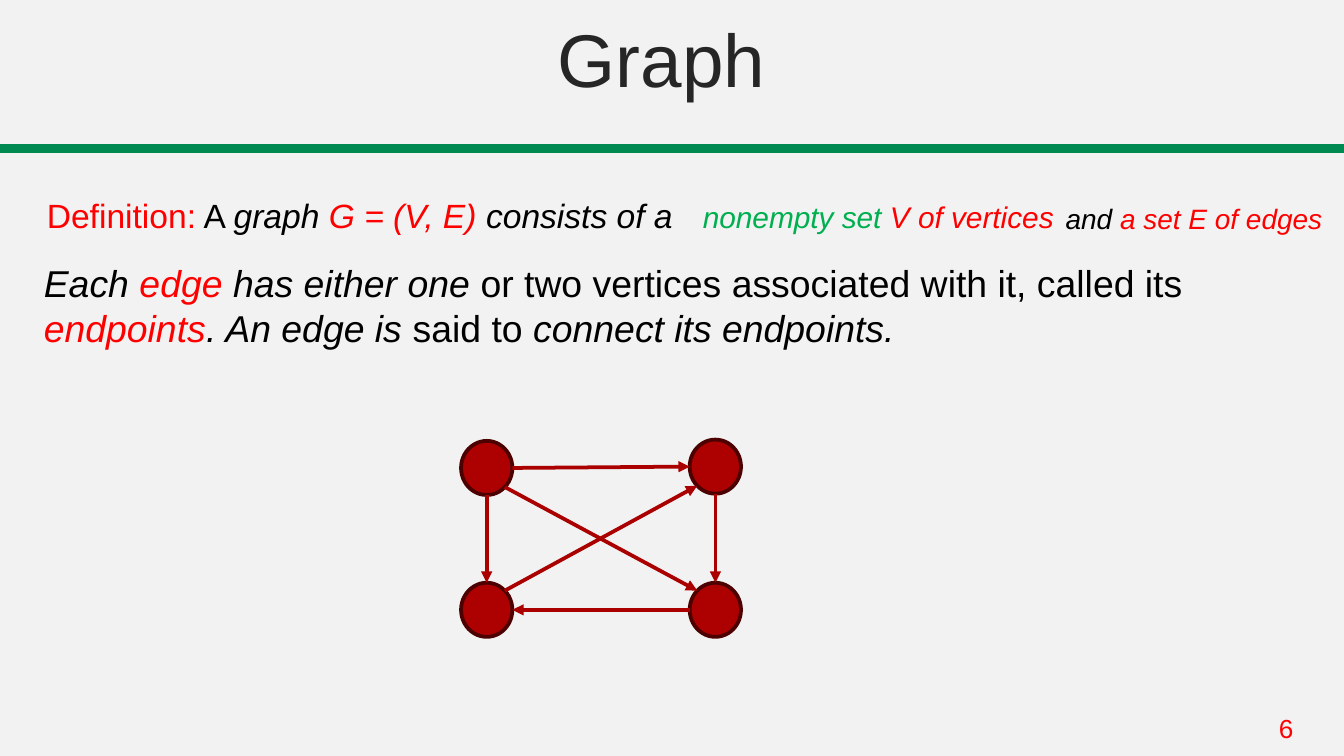
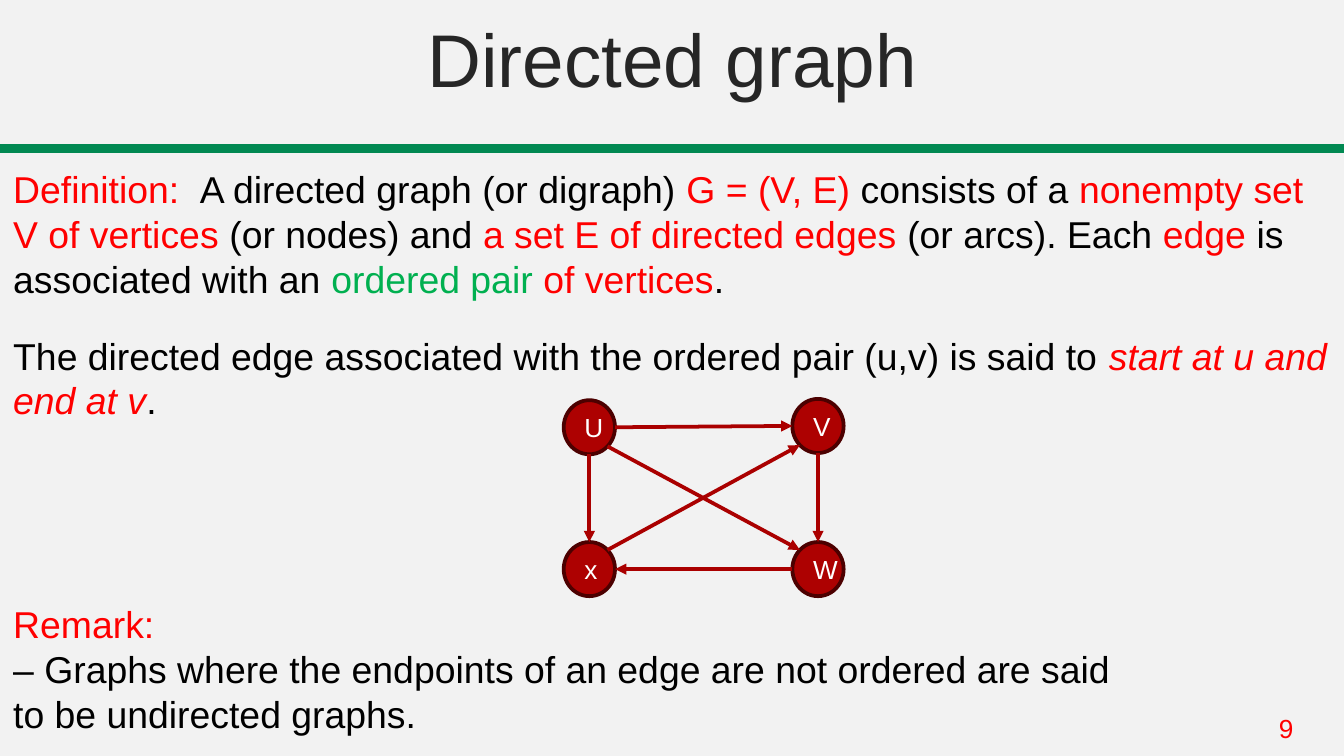
from collections.abc import Sequence
from dataclasses import dataclass
from math import sqrt

from lxml.etree import SubElement
from pptx import Presentation
from pptx.dml.color import RGBColor
from pptx.enum.shapes import MSO_CONNECTOR, MSO_SHAPE
from pptx.enum.text import MSO_ANCHOR, MSO_AUTO_SIZE, PP_ALIGN
from pptx.oxml.ns import qn
from pptx.util import Pt

# Shared look
FONT = "Arial"
LEADING = 1.2
BACKGROUND, BAND, TITLE = "F2F2F2", "018952", "262626"
RED, GREEN, BLACK, WHITE = "FF0000", "00B050", "000000", "FFFFFF"
NODE_FILL, NODE_LINE, EDGE = "AD0101", "4C0000", "AA0000"
SLIDE_W, SLIDE_H = 720, 405

# Graph geometry
NODE_W, NODE_H = 27.5, 29
COLUMN_STEP, ROW_STEP, RIGHT_RISE = 122.5, 76, 0.7


@dataclass(frozen=True)
class Span:
    text: str
    color: str = BLACK
    italic: bool = False


@dataclass(frozen=True)
class Para:
    spans: tuple[Span, ...]
    before: float = 0
    tab: float = 0


@dataclass(frozen=True)
class Passage:
    left: float
    top: float
    width: float
    height: float
    size: float
    paras: tuple[Para, ...]


@dataclass(frozen=True)
class Edge:
    start: str
    start_side: tuple[float, float]
    end: str
    end_side: tuple[float, float]


@dataclass(frozen=True)
class Page:
    title: str
    number: str
    passages: tuple[Passage, ...]
    graph_left: float
    graph_top: float
    labels: dict[str, str]


# Points on a node's rim, as fractions of its radii
D = sqrt(0.5)
TOP, BOTTOM, LEFT, RIGHT = (0, -1), (0, 1), (-1, 0), (1, 0)
UPPER_LEFT, UPPER_RIGHT = (-D, -D), (D, -D)
LOWER_LEFT, LOWER_RIGHT = (-D, D), (D, D)

EDGES = (
    Edge("U", RIGHT, "V", LEFT),
    Edge("V", BOTTOM, "W", TOP),
    Edge("W", LEFT, "X", RIGHT),
    Edge("U", BOTTOM, "X", TOP),
    Edge("U", LOWER_RIGHT, "W", UPPER_LEFT),
    Edge("X", UPPER_RIGHT, "V", LOWER_LEFT),
)


def rgb(value: str) -> RGBColor:
    return RGBColor.from_string(value)


def style_run(run, size: float, color: str, italic: bool = False) -> None:
    run.font.name = FONT
    run.font.size = Pt(size)
    run.font.italic = italic
    run.font.color.rgb = rgb(color)


def style_shape(shape, fill: str, line: str, weight: float) -> None:
    shape.shadow.inherit = False
    shape.fill.solid()
    shape.fill.fore_color.rgb = rgb(fill)
    shape.line.color.rgb = rgb(line)
    shape.line.width = Pt(weight)


def write_passage(slide, passage: Passage) -> None:
    box = slide.shapes.add_textbox(
        Pt(passage.left), Pt(passage.top), Pt(passage.width), Pt(passage.height))
    frame = box.text_frame
    frame.word_wrap = True
    for index, para in enumerate(passage.paras):
        paragraph = frame.add_paragraph() if index else frame.paragraphs[0]
        paragraph.line_spacing = Pt(LEADING * passage.size)
        if para.before:
            paragraph.space_before = Pt(para.before)
        if para.tab:
            tabs = SubElement(paragraph._p.get_or_add_pPr(), qn("a:tabLst"))
            SubElement(tabs, qn("a:tab"), pos=str(Pt(para.tab)), algn="l")
        for span in para.spans:
            run = paragraph.add_run()
            run.text = span.text
            style_run(run, passage.size, span.color, span.italic)


def draw_frame(slide, page: Page) -> None:
    # Title
    heading = slide.shapes.title
    heading.left, heading.top = Pt(0), Pt(0)
    heading.width, heading.height = Pt(SLIDE_W), Pt(58.5)
    frame = heading.text_frame
    frame.text = page.title
    frame.auto_size = MSO_AUTO_SIZE.NONE
    frame.vertical_anchor = MSO_ANCHOR.BOTTOM
    frame.paragraphs[0].alignment = PP_ALIGN.CENTER
    style_run(frame.paragraphs[0].runs[0], 40, TITLE)

    # Green band and page number
    band = slide.shapes.add_shape(
        MSO_SHAPE.RECTANGLE, Pt(0), Pt(78.2), Pt(SLIDE_W), Pt(3))
    style_shape(band, BAND, BAND, 1.75)
    write_passage(slide, Passage(
        678, 378, 42, 24.5, 14, (Para((Span(page.number, RED),)),)))


def draw_node(slide, center: tuple[float, float], label: str) -> None:
    x, y = center
    node = slide.shapes.add_shape(
        MSO_SHAPE.OVAL, Pt(x - NODE_W / 2), Pt(y - NODE_H / 2), Pt(NODE_W), Pt(NODE_H))
    style_shape(node, NODE_FILL, NODE_LINE, 2)
    if label:
        node.text_frame.text = label
        node.text_frame.vertical_anchor = MSO_ANCHOR.MIDDLE
        paragraph = node.text_frame.paragraphs[0]
        paragraph.alignment = PP_ALIGN.CENTER
        style_run(paragraph.runs[0], 14, WHITE)


def rim_point(center: tuple[float, float], side: Sequence[float]) -> tuple[Pt, Pt]:
    return (Pt(center[0] + side[0] * NODE_W / 2),
            Pt(center[1] + side[1] * NODE_H / 2))


def draw_edge(slide, edge: Edge, centers: dict[str, tuple[float, float]]) -> None:
    arrow = slide.shapes.add_connector(
        MSO_CONNECTOR.STRAIGHT,
        *rim_point(centers[edge.start], edge.start_side),
        *rim_point(centers[edge.end], edge.end_side))
    arrow.line.color.rgb = rgb(EDGE)
    arrow.line.width = Pt(2)
    SubElement(arrow.line._get_or_add_ln(), qn("a:tailEnd"), type="triangle")
    SubElement(arrow._element.spPr, qn("a:effectLst"))


def draw_graph(slide, page: Page) -> None:
    x, y = page.graph_left + NODE_W / 2, page.graph_top + NODE_H / 2
    centers = {
        "U": (x, y),
        "X": (x, y + ROW_STEP),
        "W": (x + COLUMN_STEP, y + ROW_STEP),
        "V": (x + COLUMN_STEP, y - RIGHT_RISE),
    }
    for vertex, center in centers.items():
        draw_node(slide, center, page.labels.get(vertex, ""))
    for edge in EDGES:
        draw_edge(slide, edge, centers)


# Content
GRAPH = Page("Graph ", "6", (
    Passage(18, 100.8, 361, 29, 18, (Para((
        Span("Definition:", RED),
        Span(" A "),
        Span("graph ", italic=True),
        Span("G = (V, E) ", RED, True),
        Span("consists of a", italic=True),
    )),)),
    Passage(369.4, 103, 212, 26.6, 16, (Para((
        Span("nonempty set ", GREEN, True),
        Span("V of vertices", RED, True),
    )),)),
    Passage(563.8, 104.4, 153, 25.2, 15, (Para((
        Span("and ", italic=True),
        Span("a set E of edges", RED, True),
    )),)),
    Passage(16.4, 136, 700.6, 55.4, 20, (Para((
        Span("Each ", italic=True),
        Span("edge ", RED, True),
        Span("has either one ", italic=True),
        Span("or two vertices associated with it, called its "),
        Span("endpoints", RED, True),
        Span(". An edge is ", italic=True),
        Span("said to "),
        Span("connect its endpoints.", italic=True),
    )),)),
), 247, 236.2, {})

DIRECTED_GRAPH = Page("Directed graph", "9", (
    Passage(0, 85.7, SLIDE_W, 315.4, 20, (
        Para((
            Span("Definition:\t", RED),
            Span("A directed graph (or digraph) "),
            Span("G = (V, E) ", RED),
            Span("consists of a "),
            Span("nonempty set V of vertices ", RED),
            Span("(or nodes) and "),
            Span("a set E of directed edges ", RED),
            Span("(or arcs). Each "),
            Span("edge ", RED),
            Span("is associated with an "),
            Span("ordered pair ", GREEN),
            Span("of vertices", RED),
            Span("."),
        ), tab=100),
        Para((
            Span("The directed edge associated with the ordered pair (u,v) is said to "),
            Span("start at u and end at v", RED, True),
            Span("."),
        ), before=17),
        Para((Span("Remark:", RED),), before=96),
        Para((Span("– Graphs where the endpoints of an edge are not ordered are said"),)),
        Para((Span("to be undirected graphs."),)),
    )),
), 302, 214.4, {"U": "U", "X": "x", "W": "W", "V": "V"})


def main() -> None:
    prs = Presentation()
    prs.slide_width, prs.slide_height = Pt(SLIDE_W), Pt(SLIDE_H)
    backdrop = prs.slide_master.background.fill
    backdrop.solid()
    backdrop.fore_color.rgb = rgb(BACKGROUND)
    title_only = prs.slide_layouts[5]
    for page in (GRAPH, DIRECTED_GRAPH):
        slide = prs.slides.add_slide(title_only)
        draw_frame(slide, page)
        for passage in page.passages:
            write_passage(slide, passage)
        draw_graph(slide, page)
    prs.save("out.pptx")


if __name__ == "__main__":
    main()
